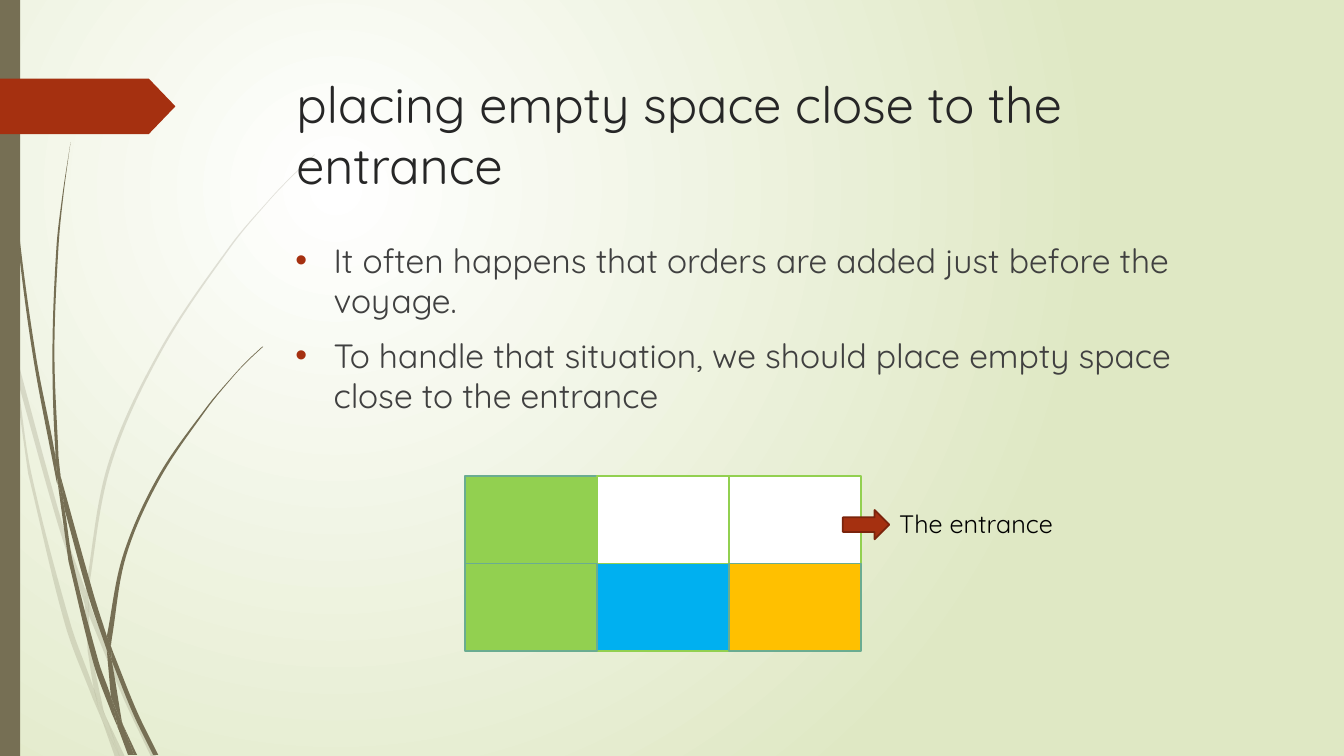
from math import dist

from lxml import etree
from pptx import Presentation
from pptx.dml.color import RGBColor
from pptx.enum.shapes import MSO_SHAPE
from pptx.oxml.ns import qn
from pptx.util import Inches, Pt

RECTANGLE = MSO_SHAPE.RECTANGLE
TAG = MSO_SHAPE.PENTAGON
RIGHT_ARROW = MSO_SHAPE.RIGHT_ARROW

WIDTH, HEIGHT = 13.33, 7.5
FONT = "Quicksand"
COLORS = {
    "white": "FFFFFF", "mist": "DFE8C4", "stem": "766F54",
    "rust": "A53010", "rust_edge": "7A240C",
    "green": "92D050", "teal": "6AAC91", "blue": "00B0F0", "amber": "FFC000",
    "title": "262626", "body": "404040", "black": "000000",
}

TITLE = "placing empty space close to the entrance"
BULLETS = [
    "It often happens that orders are added just before the voyage.",
    "To handle that situation, we should place empty space close to the entrance",
]
ENTRANCE = "The entrance"

# Hold plan, from back to front: row, column, fill, outline
CELLS = [
    (0, 2, "white", "green"), (0, 0, "green", "teal"), (0, 1, "white", "green"),
    (1, 1, "blue", "green"), (1, 0, "green", "teal"), (1, 2, "amber", "teal"),
]
GRID_LEFT, GRID_TOP, CELL_WIDTH, CELL_HEIGHT = 4.61, 4.72, 1.31, 0.87

# Each blade of grass is bounded by one edge going down and one coming back up
PALE_BLADES = [
    ([(0, 2.82), (0.09, 3.22), (0.11, 3.5)], [(0.1, 3.44), (0, 2.99)]),
    ([(0.14, 3.45), (0.62, 5.2), (0.85, 5.86)],
     [(0.84, 5.99), (0.58, 5.22), (0.17, 3.76)]),
    ([(0.88, 5.96), (0.92, 6.07), (1.27, 6.92), (1.55, 7.51)],
     [(1.5, 7.51), (1.23, 6.94), (0.88, 6.1)]),
    ([(1.05, 7.11), (1.24, 7.51)], [(1.19, 7.51)]),
    ([(0.11, 3.5), (0.17, 3.76), (0.31, 4.69), (0.7, 6.19), (0.93, 6.83),
      (0.99, 7.07), (1.01, 7.14)],
     [(0.92, 6.93), (0.65, 6.21), (0.28, 4.7)]),
    ([(0.84, 5.99), (0.88, 6.08), (0.88, 6.1), (0.91, 6.46), (1.03, 7.06), (1.05, 7.11)],
     [(0.96, 6.92), (0.93, 6.83), (0.87, 6.46)]),
    ([(3.12, 1.53), (2.89, 1.75), (2.68, 1.97), (2.28, 2.44), (1.58, 3.48),
      (1.07, 4.61), (0.85, 5.84), (0.85, 5.86)],
     [(0.88, 5.96), (0.88, 5.84), (1.1, 4.62), (1.6, 3.49), (2.29, 2.45),
      (2.68, 1.98), (2.9, 1.75), (3.12, 1.54)]),
    ([(1.01, 7.14), (1.19, 7.51)], [(1.14, 7.51)]),
    ([(0.85, 5.86), (0.88, 5.96), (0.88, 6.1)], [(0.88, 6.08), (0.84, 5.99)]),
    ([(0.93, 6.83), (0.96, 6.92), (1.05, 7.11), (1.19, 7.51)],
     [(1.01, 7.14), (0.99, 7.07)]),
]
DARK_BLADES = [
    ([(0.04, 0), (0.05, 0.48), (0.08, 1.09), (0.19, 2.32), (0.36, 3.55),
      (0.55, 4.53), (0.57, 4.81)],
     [(0.56, 4.77), (0.33, 3.55), (0.17, 2.33), (0.07, 1.1), (0.04, 0.48), (0.03, 0)]),
    ([(0.6, 4.72), (0.93, 5.9), (1.06, 6.31)],
     [(1.06, 6.45), (0.88, 5.92), (0.64, 5.05)]),
    ([(1.1, 6.41), (1.13, 6.49), (1.36, 7.06), (1.57, 7.49)],
     [(1.52, 7.49), (1.32, 7.08), (1.11, 6.56)]),
    ([(0.57, 4.77), (0.64, 5.05), (0.72, 5.56), (0.98, 6.57), (1.1, 6.91), (1.17, 7.22)],
     [(1.11, 7.08), (0.93, 6.59), (0.68, 5.57)]),
    ([(0.7, 1.41), (0.62, 1.93), (0.56, 2.45), (0.52, 3.49), (0.55, 4.49), (0.6, 4.72)],
     [(0.58, 4.53), (0.54, 3.49), (0.58, 2.45), (0.63, 1.93), (0.7, 1.41)]),
    ([(1.22, 7.19), (1.36, 7.49)], [(1.33, 7.49)]),
    ([(0.55, 4.49), (0.6, 4.72), (0.64, 5.05)], [(0.57, 4.77), (0.55, 4.53)]),
    ([(2.6, 3.44), (2.45, 3.58), (2.31, 3.73), (2.04, 4.05), (1.56, 4.74),
      (1.22, 5.51), (1.06, 6.31)],
     [(1.1, 6.41), (1.11, 6.33), (1.25, 5.52), (1.58, 4.76), (2.05, 4.06),
      (2.31, 3.74), (2.45, 3.59), (2.61, 3.44)]),
    ([(1.17, 7.22), (1.31, 7.49)], [(1.27, 7.49)]),
    ([(1.06, 6.45), (1.09, 6.51), (1.11, 6.56), (1.21, 7.16), (1.22, 7.19)],
     [(1.16, 7.06), (1.1, 6.91)]),
    ([(1.06, 6.31), (1.1, 6.41), (1.11, 6.56)], [(1.09, 6.51), (1.06, 6.45)]),
    ([(1.1, 6.91), (1.16, 7.06), (1.22, 7.19), (1.33, 7.49)],
     [(1.3, 7.49), (1.17, 7.22), (1.16, 7.17)]),
]


def color(name):
    return RGBColor.from_string(COLORS[name])


def paint(shape, fill, line=None):
    shape.shadow.inherit = False
    shape.fill.solid()
    shape.fill.fore_color.rgb = color(fill)
    if line:
        shape.line.color.rgb = color(line)
        shape.line.width = Pt(1.25)
    else:
        shape.line.fill.background()


def add_block(slide, kind, left, top, width, height, fill, line=None):
    block = slide.shapes.add_shape(
        kind, Inches(left), Inches(top), Inches(width), Inches(height))
    paint(block, fill, line)
    return block


def add_text(slide, left, top, width, height, lines, size, tint):
    box = slide.shapes.add_textbox(
        Inches(left), Inches(top), Inches(width), Inches(height))
    frame = box.text_frame
    frame.word_wrap = True
    for index, line in enumerate(lines):
        para = frame.paragraphs[0] if index == 0 else frame.add_paragraph()
        span = para.add_run()
        span.text = line
        span.font.name = FONT
        span.font.size = Pt(size)
        span.font.color.rgb = color(tint)
    return frame


def add_bullet(para):
    para.space_before = Pt(10)
    props = para._p.get_or_add_pPr()
    props.set("marL", str(Inches(0.38)))
    props.set("indent", str(-Inches(0.38)))
    tint = etree.SubElement(props, qn("a:buClr"))
    etree.SubElement(tint, qn("a:srgbClr"), val=COLORS["rust"])
    etree.SubElement(props, qn("a:buFont"), typeface="Arial")
    etree.SubElement(props, qn("a:buChar"), char="•")


def curve_points(edge):
    """Return two handles and an end point for each span of a smooth edge."""
    padded = [edge[0], *edge, edge[-1]]
    points = []
    for a, b, c, d in zip(padded, padded[1:], padded[2:], padded[3:]):
        reach = dist(b, c) / 3
        out, back = reach / dist(a, c), reach / dist(b, d)
        points += [(b[0] + (c[0] - a[0]) * out, b[1] + (c[1] - a[1]) * out),
                   (c[0] - (d[0] - b[0]) * back, c[1] - (d[1] - b[1]) * back), c]
    return points


def add_blade(group, opacity, down, up):
    joint = [down[-1], up[0], up[0]]
    outline = [down[0], *curve_points(down), *joint, *curve_points(up)]
    points = [(Inches(x), Inches(y)) for x, y in outline]
    builder = group.shapes.build_freeform(*points[0])
    builder.add_line_segments(points[1:], close=True)
    blade = builder.convert_to_shape()
    paint(blade, "stem")
    lines = blade.element.findall(".//" + qn("a:lnTo"))
    for first, second, third in zip(lines[::3], lines[1::3], lines[2::3]):
        curve = etree.Element(qn("a:cubicBezTo"))
        first.addprevious(curve)
        for line in (first, second, third):
            curve.append(line[0])
            line.getparent().remove(line)
    if opacity < 100:
        tint = blade.element.spPr.find(qn("a:solidFill"))[0]
        etree.SubElement(tint, qn("a:alpha"), val=str(opacity * 1000))


def paint_background(slide):
    fill = slide.background.fill
    fill.gradient()
    for stop, name in zip(fill.gradient_stops, ("white", "mist")):
        stop.color.rgb = color(name)
    gradient = slide.element.xpath(".//p:bgPr/a:gradFill")[0]
    glow = etree.Element(qn("a:path"), {"path": "circle"})
    etree.SubElement(glow, qn("a:fillToRect"),
                     l="50000", t="50000", r="100000", b="100000")
    gradient.replace(gradient.find(qn("a:lin")), glow)


def main():
    deck = Presentation()
    deck.slide_width, deck.slide_height = Inches(WIDTH), Inches(HEIGHT)
    slide = deck.slides.add_slide(deck.slide_layouts[6])
    paint_background(slide)
    for opacity, blades in ((20, PALE_BLADES), (100, DARK_BLADES)):
        group = slide.shapes.add_group_shape()
        for down, up in blades:
            add_blade(group, opacity, down, up)
    add_block(slide, RECTANGLE, 0, 0, 0.2, HEIGHT, "stem")
    tag = add_block(slide, TAG, 0, 0.78, 1.74, 0.55, "rust")
    tag.adjustments[0] = 0.48
    add_text(slide, 2.84, 0.68, 9.75, 1.4, [TITLE], 36, "title")
    body = add_text(slide, 2.83, 2.33, 9.75, 4.13, BULLETS, 24, "body")
    for para in body.paragraphs:
        add_bullet(para)
    for row, column, fill, line in CELLS:
        add_block(slide, RECTANGLE, GRID_LEFT + column * CELL_WIDTH,
                  GRID_TOP + row * CELL_HEIGHT, CELL_WIDTH, CELL_HEIGHT, fill, line)
    add_block(slide, RIGHT_ARROW, 8.36, 5.06, 0.46, 0.29, "rust", "rust_edge")
    add_text(slide, 8.82, 4.99, 2.28, 0.4, [ENTRANCE], 18, "black")
    deck.save("out.pptx")


if __name__ == "__main__":
    main()
